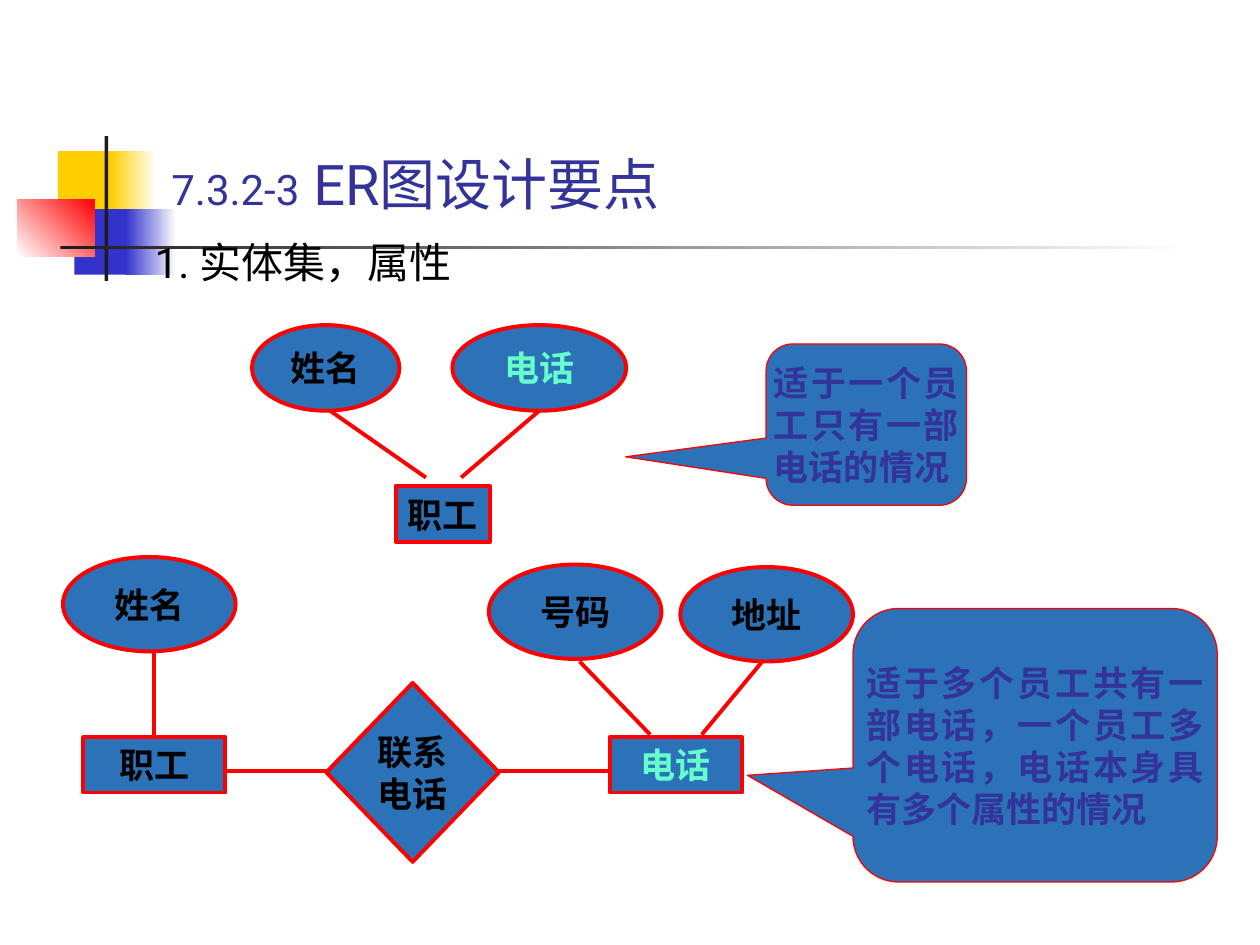
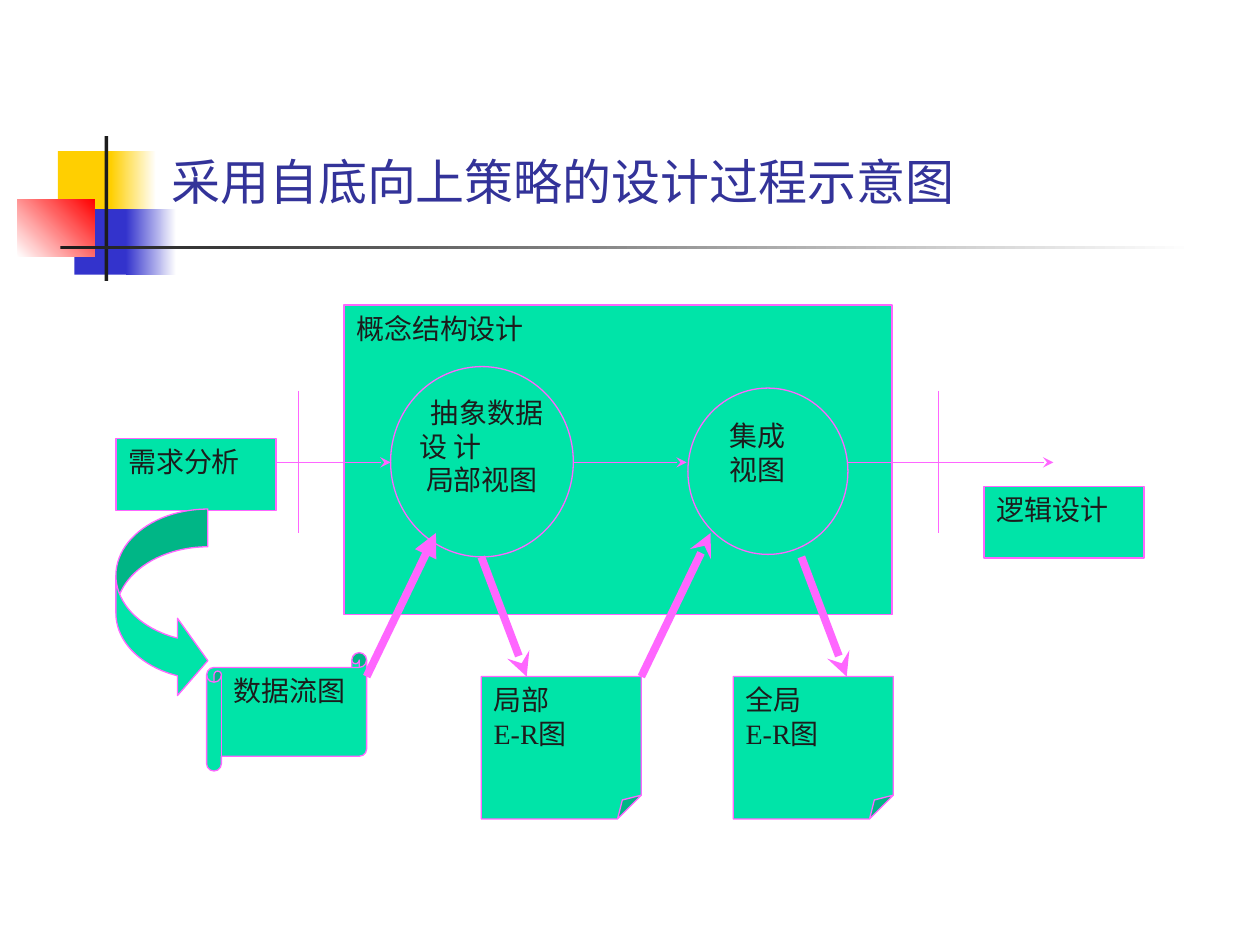
import pptx
import pptx.util
import pptx.dml.color
import pptx.enum.shapes
import pptx.enum.text
import pptx.oxml.ns
from lxml import etree

Inches, Pt = pptx.util.Inches, pptx.util.Pt
Color = pptx.dml.color.RGBColor
Kind = pptx.enum.shapes.MSO_SHAPE
Align = pptx.enum.text.PP_ALIGN
Anchor = pptx.enum.text.MSO_ANCHOR
qn = pptx.oxml.ns.qn

WHITE = Color(0xFF, 0xFF, 0xFF)
BLACK = Color(0, 0, 0)
INK = Color(0x1C, 0x1C, 0x1C)
GOLD = Color(0xFF, 0xCF, 0x01)
BLUE = Color(0x33, 0x33, 0xCC)
NAVY = Color(0x33, 0x33, 0x99)
RED = Color(0xFF, 0, 0)
STEEL = Color(0x2C, 0x72, 0xB8)
MINT = Color(0x66, 0xFF, 0xCC)
GREEN = Color(0, 0xE4, 0xA8)
PINK = Color(0xFF, 0x66, 0xFF)
HAN = "Noto Sans CJK SC"
SERIF = "Times New Roman"


def put(page, kind, box, text, fill, edge, width, color, size, bold, align,
        anchor, pad=(0.1, 0.05), wrap=True):
    """Add a filled, outlined shape with one paragraph per line of text."""
    shape = page.shapes.add_shape(kind, *map(Inches, box))
    shape.shadow.inherit = False
    shape.fill.solid()
    shape.fill.fore_color.rgb = fill
    shape.line.color.rgb = edge
    shape.line.width = Pt(width)
    frame = shape.text_frame
    frame.word_wrap = wrap
    frame.vertical_anchor = anchor
    frame.margin_left = frame.margin_right = Inches(pad[0])
    frame.margin_top = frame.margin_bottom = Inches(pad[1])
    frame.text = text
    for para in frame.paragraphs:
        para.alignment = align
        font = para.font
        font.name, font.size, font.bold = SERIF, Pt(size), bold
        font.color.rgb = color
        base = para._p.pPr.find(qn("a:defRPr"))
        etree.SubElement(base, qn("a:ea"), typeface=HAN)
    return shape


def link(page, start, end, color, width, head=None):
    """Add a straight line, with an arrowhead at its end if one is named."""
    line = page.shapes.add_connector(
        pptx.enum.shapes.MSO_CONNECTOR.STRAIGHT, *map(Inches, start + end))
    line.line.color.rgb = color
    line.line.width = Pt(width)
    if head:
        etree.SubElement(line.line._get_or_add_ln(), qn("a:tailEnd"), type=head)
    etree.SubElement(line._element.spPr, qn("a:effectLst"))


deck = pptx.Presentation()
deck.slide_width, deck.slide_height = Inches(10), Inches(7.5)

# Shared band and title: box, first colour, last colour, angle
band = [
    ((0.46, 1.2, 0.48, 0.52), GOLD, None, 0),
    ((0.88, 1.2, 0.36, 0.52), GOLD, WHITE, 0),
    ((0.59, 1.66, 0.46, 0.52), BLUE, None, 0),
    ((1, 1.66, 0.4, 0.52), BLUE, WHITE, 0),
    ((0.14, 1.58, 0.61, 0.46), WHITE, RED, 45),
    ((0.83, 1.08, 0.03, 1.15), INK, None, 0),
    ((0.48, 1.95, 9, 0.03), INK, WHITE, 0),
]
heads = [
    ((1.26, 0.82, 8.52, 0.95),
     [("7.3.2-3", 24, "Roboto"), (" ER图设计要点", 32, "Roboto")]),
    ((1.26, 0.87, 8.52, 0.85), [("采用自底向上策略的设计过程示意图", 28, HAN)]),
]
pages = []
for box, runs in heads:
    page = deck.slides.add_slide(deck.slide_layouts[5])
    pages.append(page)
    for spot, first, last, angle in band:
        block = page.shapes.add_shape(Kind.RECTANGLE, *map(Inches, spot))
        block.shadow.inherit = False
        block.line.fill.background()
        if last is None:
            block.fill.solid()
            block.fill.fore_color.rgb = first
        else:
            block.fill.gradient()
            block.fill.gradient_angle = angle
            for stop, tint in zip(block.fill.gradient_stops, (first, last)):
                stop.color.rgb = tint
    title = page.shapes.title
    title.left, title.top, title.width, title.height = map(Inches, box)
    frame = title.text_frame
    frame.auto_size = pptx.enum.text.MSO_AUTO_SIZE.NONE
    frame.vertical_anchor = Anchor.BOTTOM
    para = frame.paragraphs[0]
    para.alignment = Align.LEFT
    for text, size, face in runs:
        run = para.add_run()
        run.text = text
        run.font.size, run.font.name = Pt(size), face
        run.font.color.rgb = NAVY
        etree.SubElement(run._r.rPr, qn("a:ea"), typeface=HAN)

# Slide 1: bulleted heading
page = pages[0]
note = page.shapes.add_textbox(*map(Inches, (0.75, 1.83, 8.5, 0.67)))
note.text_frame.word_wrap = True
para = note.text_frame.paragraphs[0]
para.text = "1. 实体集，属性"
props = para._p.get_or_add_pPr()
props.set("marL", str(Inches(0.38)))
props.set("indent", str(-Inches(0.38)))
tint = etree.SubElement(props, qn("a:buClr"))
etree.SubElement(tint, qn("a:srgbClr"), val=str(BLUE))
etree.SubElement(props, qn("a:buSzPct"), val="60000")
etree.SubElement(props, qn("a:buChar"), char="■")
para.font.name, para.font.size = "Roboto", Pt(24)
para.font.color.rgb = BLACK
etree.SubElement(props.find(qn("a:defRPr")), qn("a:ea"), typeface=HAN)

# Slide 1: entities, attributes and the relation
nodes = [
    (Kind.RECTANGLE, (3.14, 3.86, 0.75, 0.44), "职工", BLACK),
    (Kind.OVAL, (2, 2.58, 1.17, 0.68), "姓名", BLACK),
    (Kind.OVAL, (3.59, 2.58, 1.38, 0.68), "电话", MINT),
    (Kind.RECTANGLE, (0.66, 5.85, 1.13, 0.44), "职工", BLACK),
    (Kind.RECTANGLE, (4.84, 5.85, 1.05, 0.44), "电话", MINT),
    (Kind.DIAMOND, (2.59, 5.42, 1.37, 1.42), "联系\n电话", BLACK),
    (Kind.OVAL, (0.5, 4.42, 1.37, 0.75), "姓名", BLACK),
    (Kind.OVAL, (3.88, 4.48, 1.37, 0.75), "号码", BLACK),
    (Kind.OVAL, (5.4, 4.5, 1.37, 0.75), "地址", BLACK),
]
for kind, box, text, color in nodes:
    put(page, kind, box, text, STEEL, RED, 2.25, color, 20, True,
        Align.CENTER, Anchor.MIDDLE, wrap=False)
for start, end in [
    ((4.28, 3.26), (3.66, 3.79)), ((3.38, 3.79), (2.62, 3.26)),
    ((1.79, 6.12), (2.59, 6.12)), ((3.96, 6.12), (4.84, 6.12)),
    ((1.22, 5.83), (1.22, 5.17)), ((5.16, 5.83), (4.6, 5.25)),
    ((5.57, 5.83), (6.05, 5.25)),
]:
    link(page, start, end, RED, 2.25)

# Slide 1: callouts
for box, tip, text in [
    ((6.08, 2.73, 1.59, 1.28), (-1.2, 0.2), "适于一个员工只有一部电话的情况"),
    ((6.77, 4.83, 2.89, 2.17), (-0.79, 0.11),
     "适于多个员工共有一部电话，一个员工多个电话，电话本身具有多个属性的情况"),
]:
    call = put(page, Kind.ROUNDED_RECTANGULAR_CALLOUT, box, text, STEEL, RED,
               0.75, NAVY, 20, True, Align.JUSTIFY, Anchor.MIDDLE, (0, 0))
    call.adjustments[0], call.adjustments[1] = tip

# Slide 2: stages and documents, back to front
page = pages[1]
wide = 1.27
steps = [
    (Kind.RECTANGLE, (2.73, 2.42, 4.35, 2.46), "概念结构设计"),
    (Kind.OVAL, (3.1, 2.91, 1.45, 1.51), " 抽象数据设 计\n 局部视图"),
    (Kind.OVAL, (5.46, 3.08, wide, 1.32), " 集成\n 视图"),
    (Kind.RECTANGLE, (0.92, 3.48, wide, 0.57), "需求分析"),
    (Kind.RECTANGLE, (7.81, 3.86, wide, 0.57), "逻辑设计"),
    (Kind.HORIZONTAL_SCROLL, (1.64, 5.18, wide, 0.94), "数据流图"),
    (Kind.FOLDED_CORNER, (5.82, 5.37, wide, 1.13), "全局\nE-R图"),
    (Kind.FOLDED_CORNER, (3.82, 5.37, wide, 1.13), "局部\nE-R图"),
    (Kind.CURVED_RIGHT_ARROW, (0.92, 4.04, 0.73, 1.51), ""),
]
for kind, box, text in steps:
    pad = (0.02, 0.01) if "抽象" in text else (0.1, 0.05)
    step = put(page, kind, box, text, GREEN, PINK, 0.75, INK, 16, False,
               Align.JUSTIFY, Anchor.TOP, pad)
    if "抽象" in text:
        step.text_frame.paragraphs[0]._p.pPr.set("indent", str(Inches(0.03)))
    if kind == Kind.CURVED_RIGHT_ARROW:
        for i, value in enumerate((0.41, 0.84, 0.33)):
            step.adjustments[i] = value

# Slide 2: flow, dividers and thick arrows
for left, right in [(2.19, 3.1), (4.55, 5.45), (6.72, 8.36)]:
    link(page, (left, 3.67), (right, 3.67), PINK, 0.75, "stealth")
for x in (2.37, 7.45):
    link(page, (x, 3.1), (x, 4.23), PINK, 0.75)
for start, end, head in [
    ((2.91, 5.37), (3.46, 4.23), "triangle"),
    ((5.09, 5.37), (5.64, 4.23), "stealth"),
    ((3.82, 4.42), (4.18, 5.37), "stealth"),
    ((6.36, 4.42), (6.72, 5.37), "stealth"),
]:
    link(page, start, end, PINK, 4.5, head)

deck.save("out.pptx")
